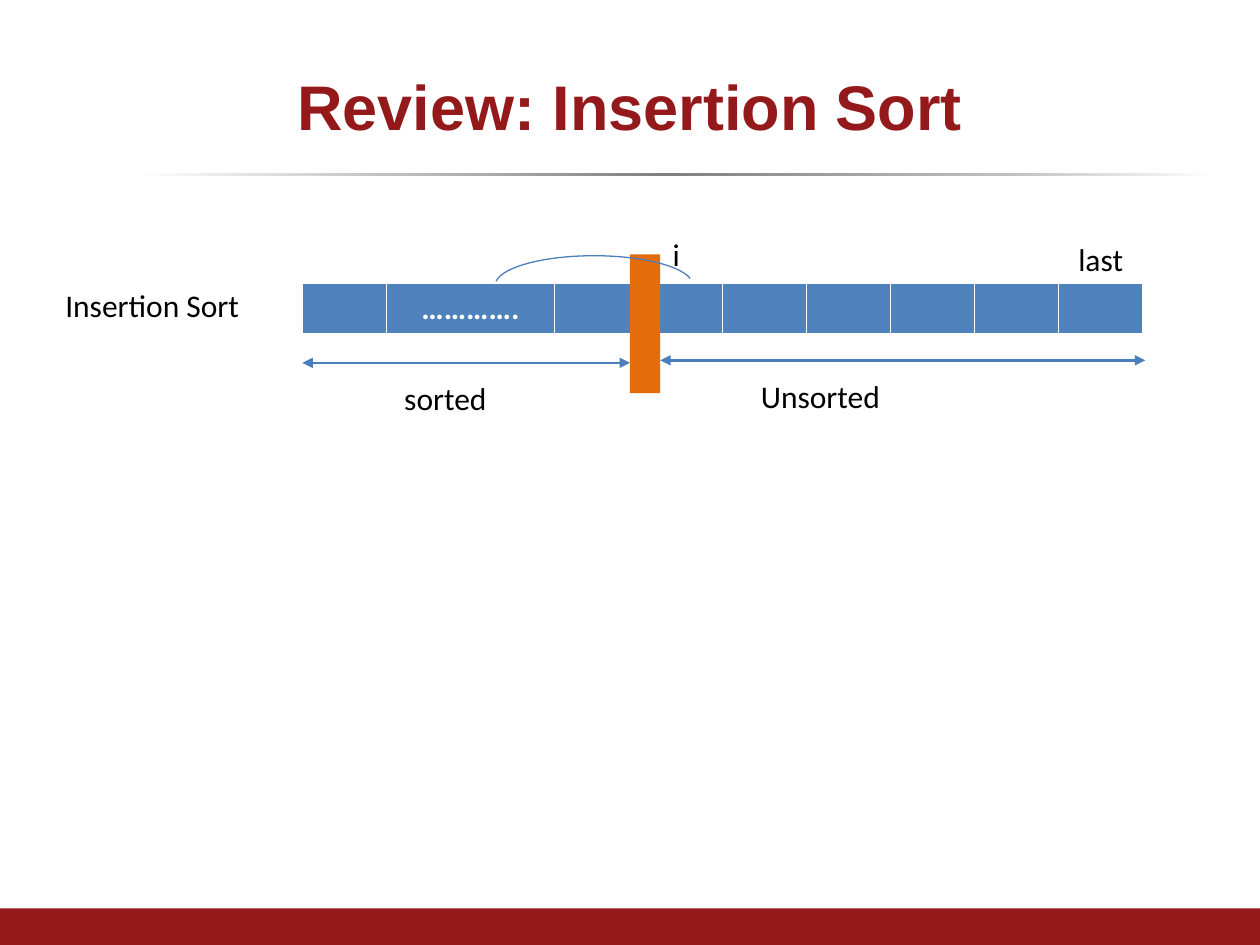
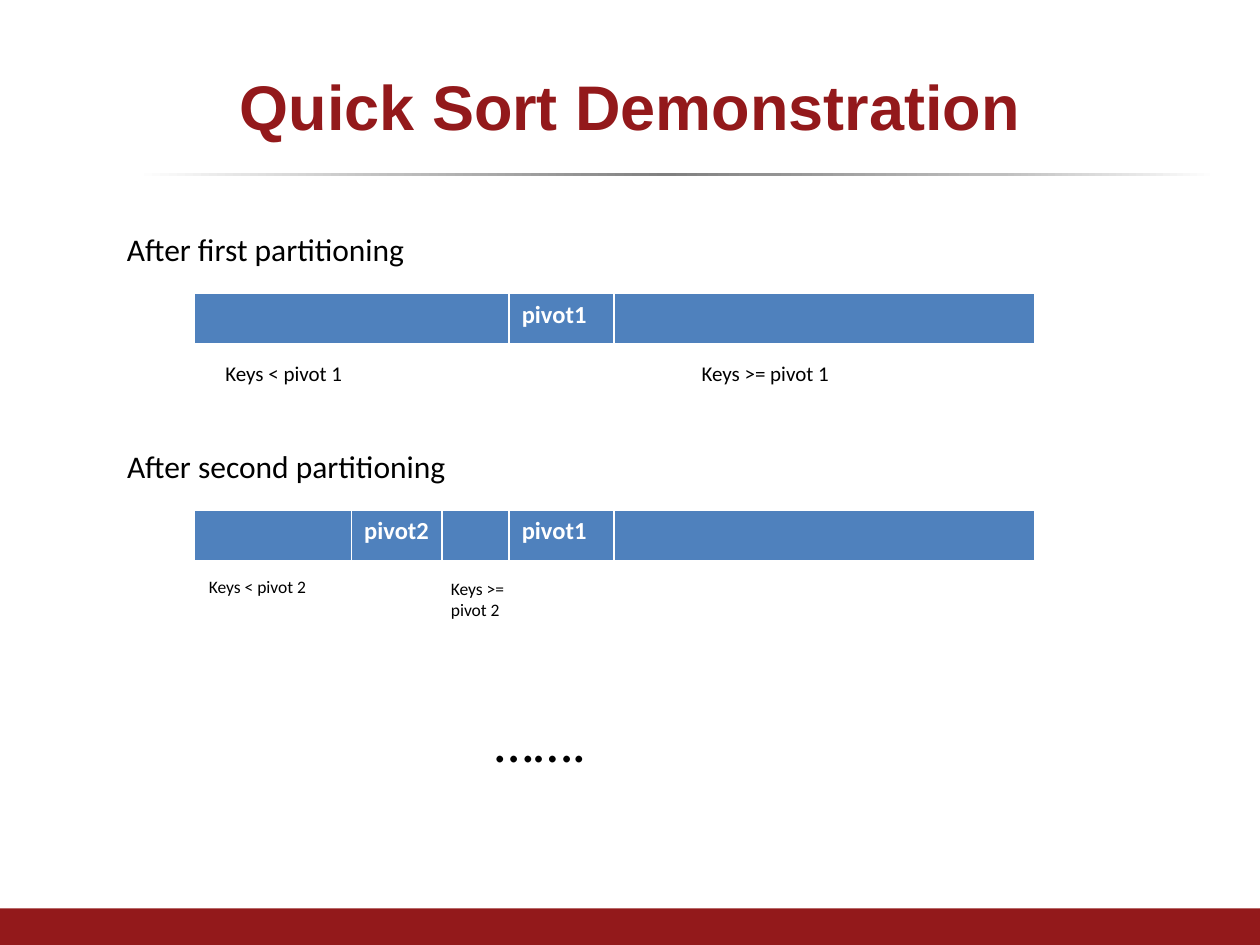
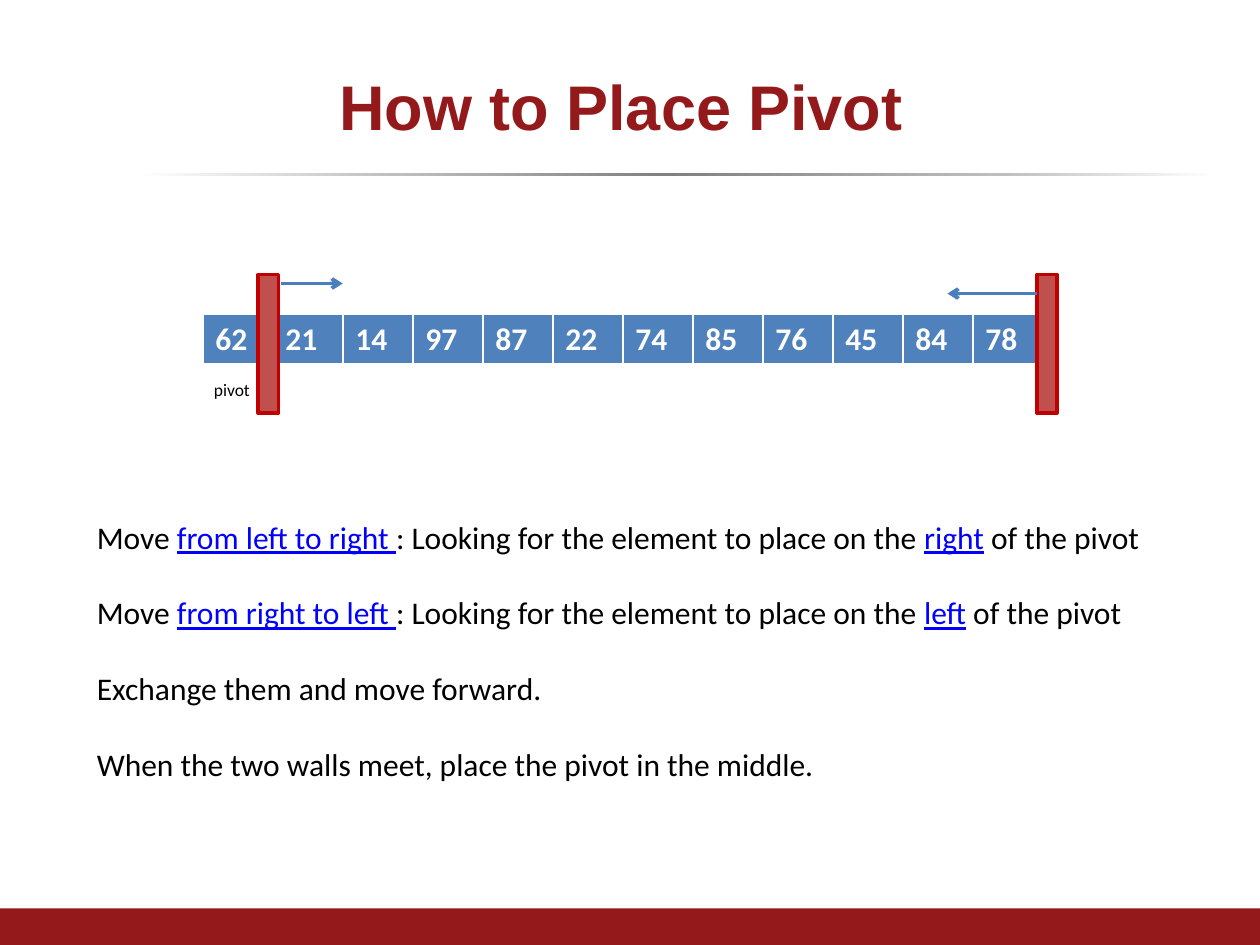
from dataclasses import dataclass
from typing import Optional, Sequence

import pptx
import pptx.dml.color
import pptx.enum.shapes
import pptx.enum.text
import pptx.oxml
import pptx.oxml.ns
import pptx.util
from lxml import etree

Inches = pptx.util.Inches
Pt = pptx.util.Pt
RGB = pptx.dml.color.RGBColor.from_string
Align = pptx.enum.text.PP_ALIGN
Shape = pptx.enum.shapes.MSO_SHAPE
qn = pptx.oxml.ns.qn


@dataclass(frozen=True)
class Theme:
    """Colours, fonts and type sizes of the whole deck."""
    title_font: str = "Arial"
    body_font: str = "Calibri"
    crimson: str = "93191B"
    black: str = "000000"
    white: str = "FFFFFF"
    cell: str = "4F81BD"
    stroke: str = "4B7EBC"
    divider: str = "E46C0A"
    wall: str = "C0504D"
    wall_edge: str = "C00000"
    emphasis: str = "0000FF"
    title: int = 36
    ellipsis: int = 32
    body: int = 18
    pivot: int = 14
    caption: int = 12
    note: int = 10


THEME = Theme()
RULE_STOPS = ((0, "FFFFFF"), (24, "BFBFBF"), (49, "808080"), (80, "BFBFBF"), (100, "FFFFFF"))
ARRAY_WIDTH = 6.67
ARRAY_HEIGHT = 0.41
WALL_HEIGHT = 1.1


@dataclass(frozen=True)
class Label:
    """A free line of text."""
    text: str
    left: float
    top: float
    width: float
    height: float = 0.4
    size: int = THEME.body
    wrap: bool = True
    align: Optional[Align] = None


@dataclass(frozen=True)
class Cell:
    """An array cell; weight is its share of the array width."""
    text: str = ""
    weight: float = 1


@dataclass(frozen=True)
class Arrow:
    """A horizontal arrow, pointing at its end and maybe at its start."""
    start: float
    end: float
    y: float
    width: float
    tip: str
    double: bool = False


def style_run(run, size: int, color: str, font: str = THEME.body_font, bold: bool = False) -> None:
    """Set the font of one run."""
    run.font.name = font
    run.font.size = Pt(size)
    run.font.bold = bold
    run.font.color.rgb = RGB(color)


def add_block(slide, left: float, top: float, width: float, height: float,
              fill: Optional[str], edge: Optional[str] = None, edge_width: float = 1,
              kind: Shape = Shape.RECTANGLE):
    """Draw a preset shape without shadow."""
    block = slide.shapes.add_shape(kind, Inches(left), Inches(top), Inches(width), Inches(height))
    block.shadow.inherit = False
    if fill:
        block.fill.solid()
        block.fill.fore_color.rgb = RGB(fill)
    else:
        block.fill.background()
    if edge:
        block.line.color.rgb = RGB(edge)
        block.line.width = Pt(edge_width)
    else:
        block.line.fill.background()
    return block


def add_rule(slide) -> None:
    """Draw the fading rule under the title."""
    rule = add_block(slide, 1.08, 1.37, 8.58, 0.03, None)
    rule.fill.gradient()
    rule.fill.gradient_angle = 0
    stops = rule.element.spPr.find(qn("a:gradFill")).find(qn("a:gsLst"))
    for stop in list(stops):
        stops.remove(stop)
    for position, color in RULE_STOPS:
        stop = etree.SubElement(stops, qn("a:gs"), pos=str(position * 1000))
        etree.SubElement(stop, qn("a:srgbClr"), val=color)


def add_titled_slide(deck, title: str):
    """Start a slide with the shared title, rule and footer band."""
    slide = deck.slides.add_slide(deck.slide_layouts[5])
    add_rule(slide)
    add_block(slide, 0, 7.21, 10, 0.29, THEME.crimson)
    heading = slide.shapes.title
    heading.left, heading.top = Inches(0.5), Inches(0.3)
    heading.width, heading.height = Inches(9), Inches(1.07)
    heading.text_frame.text = title
    heading.text_frame.vertical_anchor = pptx.enum.text.MSO_ANCHOR.MIDDLE
    paragraph = heading.text_frame.paragraphs[0]
    paragraph.alignment = Align.CENTER
    style_run(paragraph.runs[0], THEME.title, THEME.crimson, THEME.title_font, bold=True)
    return slide


def add_label(slide, label: Label) -> None:
    """Write one label."""
    box = slide.shapes.add_textbox(Inches(label.left), Inches(label.top),
                                   Inches(label.width), Inches(label.height))
    frame = box.text_frame
    frame.text = label.text
    frame.word_wrap = label.wrap
    frame.auto_size = pptx.enum.text.MSO_AUTO_SIZE.SHAPE_TO_FIT_TEXT
    frame.paragraphs[0].alignment = label.align
    style_run(frame.paragraphs[0].runs[0], label.size, THEME.black)


def add_cell_borders(cell) -> None:
    """Give a cell white borders, the bottom one thicker."""
    properties = cell._tc.get_or_add_tcPr()
    for side, width in (("L", 1), ("R", 1), ("T", 1), ("B", 3)):
        border = etree.SubElement(properties, qn(f"a:ln{side}"), w=str(Pt(width)))
        fill = etree.SubElement(border, qn("a:solidFill"))
        etree.SubElement(fill, qn("a:srgbClr"), val=THEME.white)


def add_array(slide, left: float, top: float, cells: Sequence[Cell],
              size: int = THEME.body, align: Optional[Align] = None) -> None:
    """Draw an array as a one-row table."""
    table = slide.shapes.add_table(1, len(cells), Inches(left), Inches(top),
                                   Inches(ARRAY_WIDTH), Inches(ARRAY_HEIGHT)).table
    unit = ARRAY_WIDTH / sum(cell.weight for cell in cells)
    for column, cell in enumerate(cells):
        table.columns[column].width = Inches(unit * cell.weight)
        target = table.cell(0, column)
        add_cell_borders(target)
        target.fill.solid()
        target.fill.fore_color.rgb = RGB(THEME.cell)
        if cell.text:
            target.text_frame.text = cell.text
            paragraph = target.text_frame.paragraphs[0]
            paragraph.alignment = align
            style_run(paragraph.runs[0], size, THEME.white, bold=True)


def add_arrow(slide, arrow: Arrow) -> None:
    """Draw a horizontal arrow."""
    line = slide.shapes.add_connector(pptx.enum.shapes.MSO_CONNECTOR.STRAIGHT,
                                      Inches(arrow.start), Inches(arrow.y),
                                      Inches(arrow.end), Inches(arrow.y))
    line.line.color.rgb = RGB(THEME.stroke)
    line.line.width = Pt(arrow.width)
    properties = line.element.spPr
    stroke = properties.find(qn("a:ln"))
    for end in ("headEnd", "tailEnd") if arrow.double else ("tailEnd",):
        etree.SubElement(stroke, qn(f"a:{end}"), type=arrow.tip)
    etree.SubElement(properties, qn("a:effectLst"))


def add_steps(slide, steps: Sequence[Sequence[str]]) -> None:
    """Write the steps; every second part of a step is emphasised."""
    box = slide.shapes.add_textbox(Inches(0.67), Inches(4.06), Inches(8.92), Inches(2.22))
    frame = box.text_frame
    frame.word_wrap = True
    for index, parts in enumerate(steps):
        paragraph = frame.add_paragraph() if index else frame.paragraphs[0]
        if index:
            paragraph.space_before = Pt(21.6)
        for position, part in enumerate(parts):
            emphasised = position % 2 == 1
            run = paragraph.add_run()
            run.text = part
            style_run(run, THEME.body, THEME.emphasis if emphasised else THEME.black)
            run.font.underline = emphasised


def build_insertion_sort(deck) -> None:
    """Sorted and unsorted halves of insertion sort."""
    slide = add_titled_slide(deck, "Review: Insertion Sort")
    add_array(slide, 2.4, 2.25, [Cell(), Cell("………….", 2)] + [Cell()] * 7, align=Align.CENTER)
    add_block(slide, 5, 2.02, 0.24, WALL_HEIGHT, THEME.divider)
    for arrow in (Arrow(2.4, 5, 2.88, 1.5, "triangle", double=True),
                  Arrow(5.24, 9.09, 2.86, 1.5, "triangle", double=True)):
        add_arrow(slide, arrow)
    insertion_path = add_block(slide, 3.93, 2.03, 1.57, 0.47, None, THEME.stroke, 0.75, Shape.ARC)
    insertion_path.adjustments[0] = 109.46
    insertion_path.adjustments[1] = 213.55
    for label in (Label("sorted", 3.11, 2.96, 1.1),
                  Label("Unsorted", 5.94, 2.94, 1.73),
                  Label("i", 5.24, 1.82, 0.26, wrap=False),
                  Label("last", 8.46, 1.86, 0.56, wrap=False),
                  Label("Insertion Sort", 0.42, 2.22, 1.97)):
        add_label(slide, label)


def build_quick_sort(deck) -> None:
    """The array after the first and second partitioning."""
    slide = add_titled_slide(deck, "Quick Sort Demonstration")
    first_pivot = [Cell("pivot1", 1), Cell(weight=4)]
    add_array(slide, 1.54, 2.33, [Cell(weight=3)] + first_pivot, THEME.pivot)
    add_array(slide, 1.54, 4.05,
              [Cell(weight=1.5), Cell("pivot2", 0.86), Cell(weight=0.64)] + first_pivot,
              THEME.pivot)
    for label in (Label("After first partitioning", 0.91, 1.78, 3.07),
                  Label("After second partitioning", 0.91, 3.5, 3.31),
                  Label("Keys < pivot 1", 1.69, 2.81, 1.97, 0.3, THEME.caption),
                  Label("Keys >= pivot 1", 5.47, 2.81, 1.97, 0.3, THEME.caption),
                  Label("Keys < pivot 2", 1.56, 4.52, 1.17, 0.27, THEME.note),
                  Label("Keys >= pivot 2", 3.48, 4.54, 0.65, 0.44, THEME.note),
                  Label("…….", 2.56, 5.56, 3.46, 0.64, THEME.ellipsis, align=Align.CENTER)):
        add_label(slide, label)


def build_pivot_placement(deck) -> None:
    """Two walls moving towards each other, and the steps."""
    slide = add_titled_slide(deck, "How to Place Pivot ")
    keys = (62, 21, 14, 97, 87, 22, 74, 85, 76, 45, 84, 78)
    add_array(slide, 1.61, 2.49, [Cell(str(key)) for key in keys])
    for wall_left in (2.05, 8.23):
        add_block(slide, wall_left, 2.18, 0.16, WALL_HEIGHT, THEME.wall, THEME.wall_edge, 2)
    add_label(slide, Label("pivot", 1.6, 2.96, 0.63, 0.27, THEME.note))
    for arrow in (Arrow(2.23, 2.72, 2.25, 2, "arrow"), Arrow(8.23, 7.52, 2.33, 2, "arrow")):
        add_arrow(slide, arrow)
    search = ": Looking for the element to place on the "
    add_steps(slide, (
        ("Move ", "from left to right ", search, "right", " of the pivot"),
        ("Move ", "from right to left ", search, "left", " of the pivot"),
        ("Exchange them and move forward.",),
        ("When the two walls meet, place the pivot in the middle.",),
    ))


def main() -> None:
    """Build and save the deck."""
    deck = pptx.Presentation()
    deck.slide_width, deck.slide_height = Inches(10), Inches(7.5)
    build_insertion_sort(deck)
    build_quick_sort(deck)
    build_pivot_placement(deck)
    deck.save("out.pptx")


main()
